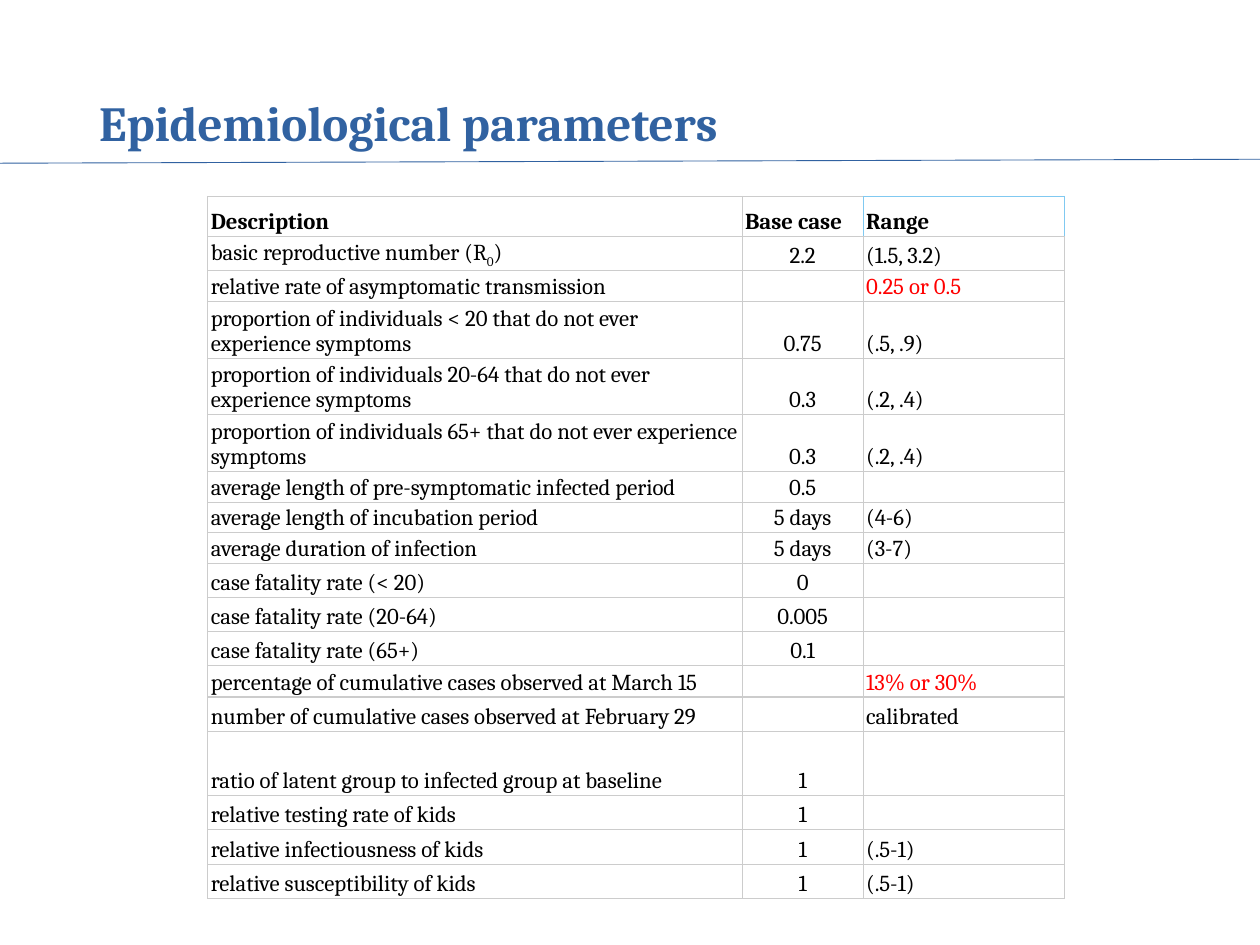
from dataclasses import dataclass

from lxml.etree import SubElement
from pptx import Presentation
from pptx.dml.color import RGBColor
from pptx.enum.shapes import MSO_CONNECTOR as Connector
from pptx.enum.text import MSO_ANCHOR as Anchor, PP_ALIGN as Align
from pptx.oxml.ns import qn
from pptx.util import Cm, Pt

BLUE = RGBColor(0x31, 0x62, 0xA1)
BLACK = RGBColor(0x00, 0x00, 0x00)
RED = RGBColor(0xFF, 0x00, 0x00)
GREY = RGBColor(0xCC, 0xCC, 0xCC)
SKY = RGBColor(0x80, 0xC9, 0xF1)
FONT = "Cambria"
TEXT_SIZE = Pt(13)
BORDER_WIDTH = Pt(0.75)

# Row heights in centimetres
LOW, MEDIUM, DOUBLE, TALL = 0.46, 0.69, 0.81, 1.3
COLUMN_WIDTHS = (10.77, 2.44, 4.06)


@dataclass
class Parameter:
    description: str  # text between bars is set as a subscript
    base_case: str = ""
    value_range: str = ""
    height: float = LOW
    range_color: RGBColor = BLACK
    header: bool = False


PARAMETERS = [
    Parameter("Description", "Base case", "Range", DOUBLE, header=True),
    Parameter("basic reproductive number (R|0|)", "2.2", "(1.5, 3.2)"),
    Parameter("relative rate of asymptomatic transmission", "", "0.25 or 0.5", range_color=RED),
    *(
        Parameter(f"proportion of individuals {ages} that do not ever experience symptoms",
                  base, limits, DOUBLE)
        for ages, base, limits in (("< 20", "0.75", "(.5, .9)"),
                                   ("20-64", "0.3", "(.2, .4)"),
                                   ("65+", "0.3", "(.2, .4)"))
    ),
    Parameter("average length of pre-symptomatic infected period", "0.5"),
    Parameter("average length of incubation period", "5 days", "(4-6)"),
    Parameter("average duration of infection", "5 days", "(3-7)"),
    *(
        Parameter(f"case fatality rate ({ages})", rate, height=MEDIUM)
        for ages, rate in (("< 20", "0"), ("20-64", "0.005"), ("65+", "0.1"))
    ),
    Parameter("percentage of cumulative cases observed at March 15", "", "13% or 30%",
              range_color=RED),
    Parameter("number of cumulative cases observed at February 29", "", "calibrated", MEDIUM),
    Parameter("ratio of latent group to infected group at baseline", "1", height=TALL),
    Parameter("relative testing rate of kids", "1", height=MEDIUM),
    Parameter("relative infectiousness of kids", "1", "(.5-1)", MEDIUM),
    Parameter("relative susceptibility of kids", "1", "(.5-1)", MEDIUM),
]


def format_font(font, size: int, color: RGBColor, bold: bool) -> None:
    font.name = FONT
    font.size = size
    font.bold = bold
    font.color.rgb = color


def set_borders(cell, colors: dict[str, RGBColor]) -> None:
    properties = cell._tc.get_or_add_tcPr()
    for side in ("L", "R", "T", "B"):
        line = SubElement(properties, qn(f"a:ln{side}"), w=str(int(BORDER_WIDTH)))
        fill = SubElement(line, qn("a:solidFill"))
        SubElement(fill, qn("a:srgbClr"), val=str(colors.get(side, GREY)))


def fill_cell(cell, text: str, color: RGBColor, bold: bool, align: Align) -> None:
    cell.vertical_anchor = Anchor.BOTTOM
    cell.margin_left = cell.margin_right = Cm(0.06)
    cell.margin_top = cell.margin_bottom = Cm(0.04)
    cell.fill.background()
    para = cell.text_frame.paragraphs[0]
    para.alignment = align
    para.line_spacing = 0.96
    if not text:
        # An empty cell must not stretch its row
        SubElement(para._p, qn("a:endParaRPr"), sz=str(int(TEXT_SIZE.pt * 100)))
        return
    for index, part in enumerate(text.split("|")):
        span = para.add_run()
        span.text = part
        format_font(span.font, TEXT_SIZE, color, bold)
        if index % 2:
            span._r.get_or_add_rPr().set("baseline", "-25000")


def add_title(page, text: str) -> None:
    box = page.shapes.add_textbox(Cm(1.75), Cm(0.81), Cm(21.89), Cm(2.39))
    frame = box.text_frame
    frame.word_wrap = True
    frame.vertical_anchor = Anchor.BOTTOM
    frame.text = text
    para = frame.paragraphs[0]
    para.line_spacing = 0.9
    format_font(para.runs[0].font, Pt(28), BLUE, True)


def add_rule(page) -> None:
    rule = page.shapes.add_connector(Connector.STRAIGHT, Cm(0), Cm(3.29), Cm(25.4), Cm(3.21))
    rule.line.color.rgb = BLUE
    rule.line.width = Pt(0.5)
    SubElement(rule._element.spPr, qn("a:effectLst"))


def add_parameter_table(page, parameters: list[Parameter]) -> None:
    total_height = sum(parameter.height for parameter in parameters)
    table = page.shapes.add_table(
        len(parameters), len(COLUMN_WIDTHS),
        Cm(4.19), Cm(3.96), Cm(sum(COLUMN_WIDTHS)), Cm(total_height),
    ).table
    table.first_row = table.horz_banding = False
    for column, width in zip(table.columns, COLUMN_WIDTHS):
        column.width = Cm(width)

    for row, parameter in zip(table.rows, parameters):
        row.height = Cm(parameter.height)
        middle = Align.LEFT if parameter.header else Align.CENTER
        contents = (
            (parameter.description, BLACK, Align.LEFT, {}),
            (parameter.base_case, BLACK, middle, {"R": SKY}),
            (parameter.value_range, parameter.range_color, Align.LEFT,
             {"L": SKY, "T": SKY, "R": SKY}),
        )
        for cell, (text, color, align, accents) in zip(row.cells, contents):
            set_borders(cell, accents if parameter.header else {})
            fill_cell(cell, text, color, parameter.header, align)


# Slide
deck = Presentation()
deck.slide_width, deck.slide_height = Cm(25.4), Cm(19.05)
page = deck.slides.add_slide(deck.slide_layouts[6])

add_title(page, "Epidemiological parameters")
add_rule(page)
add_parameter_table(page, PARAMETERS)

deck.save("out.pptx")
